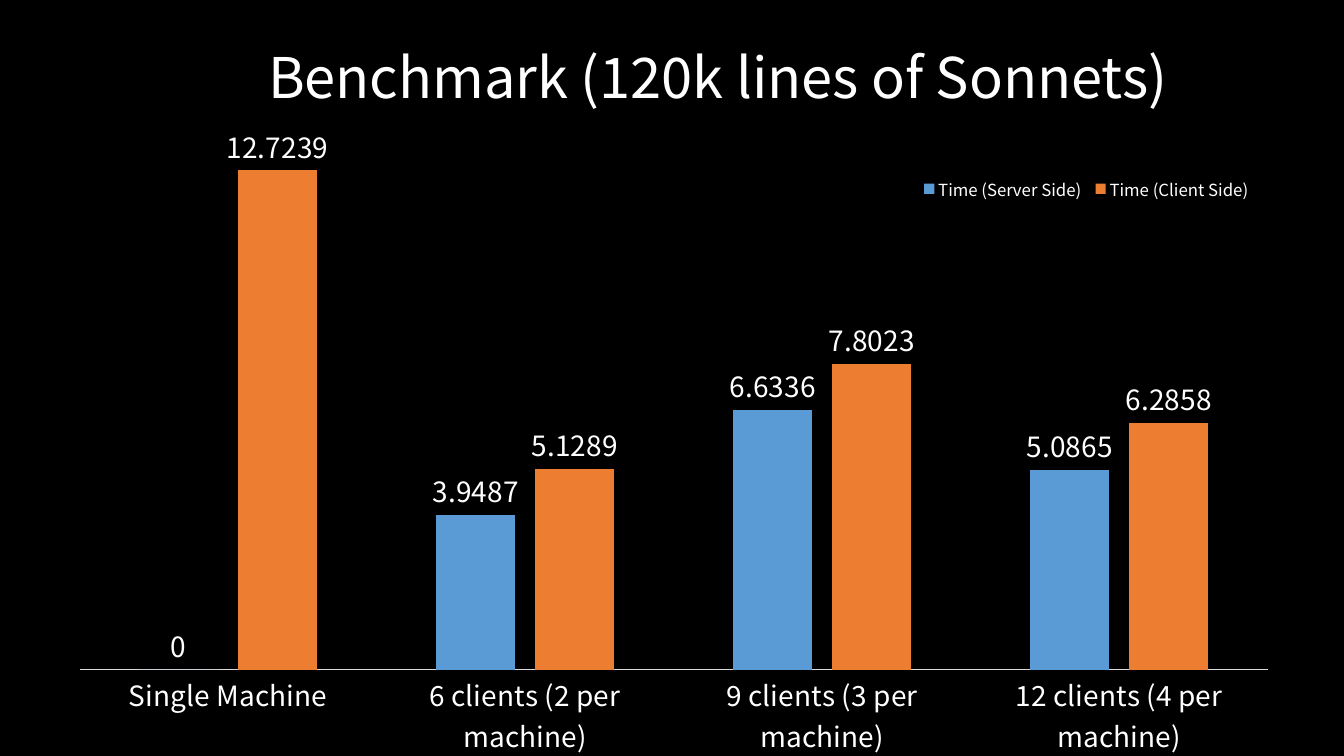
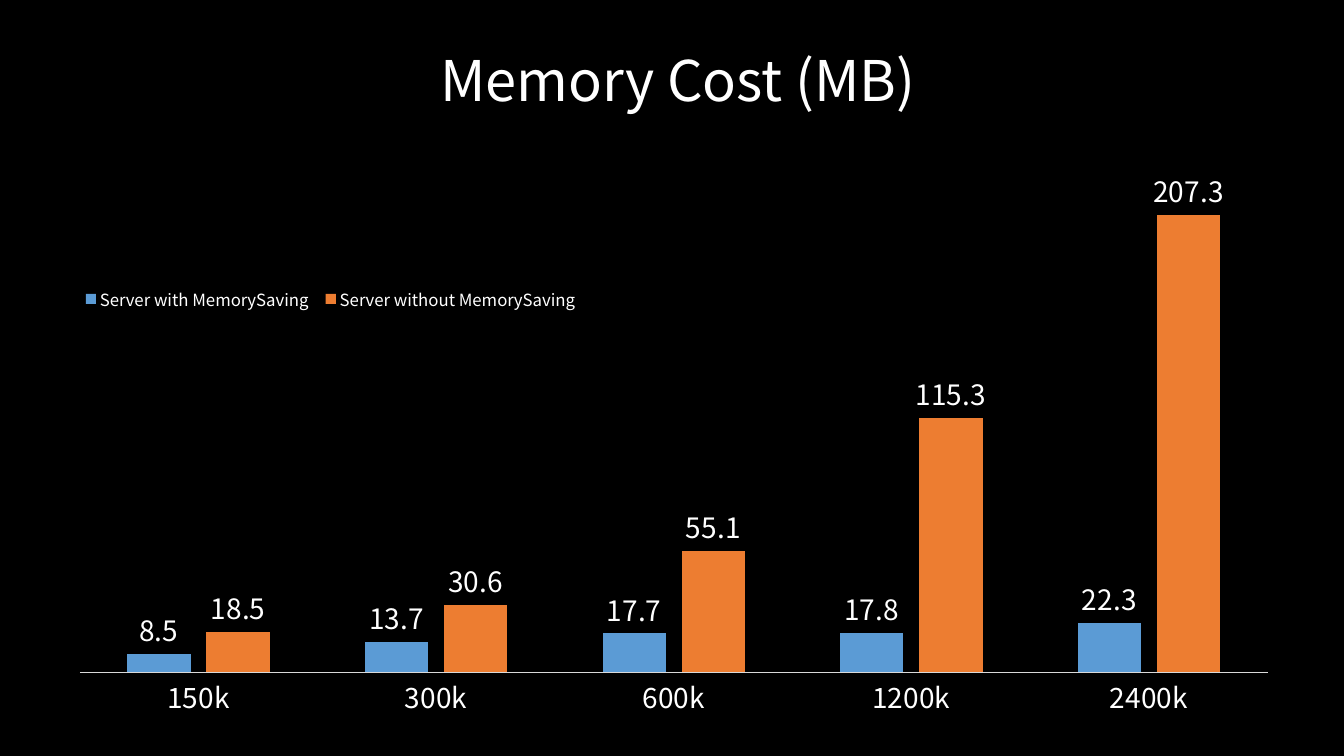
from dataclasses import dataclass

from pptx import Presentation
from pptx.chart.data import CategoryChartData
from pptx.dml.color import RGBColor
from pptx.enum.chart import XL_CHART_TYPE, XL_LABEL_POSITION, XL_LEGEND_POSITION, XL_TICK_MARK
from pptx.enum.text import MSO_ANCHOR, MSO_AUTO_SIZE, PP_ALIGN
from pptx.oxml import parse_xml
from pptx.oxml.ns import nsdecls, qn
from pptx.util import Cm, Pt


@dataclass(frozen=True)
class Theme:
    background: RGBColor = RGBColor(0x00, 0x00, 0x00)
    text: RGBColor = RGBColor(0xFF, 0xFF, 0xFF)
    baseline: RGBColor = RGBColor(0xD9, 0xD9, 0xD9)
    bars: tuple = (RGBColor(0x5B, 0x9B, 0xD5), RGBColor(0xED, 0x7D, 0x31))
    typeface: str = "Noto Sans CJK SC"
    title_size: Pt = Pt(40)
    label_size: Pt = Pt(20)
    legend_size: Pt = Pt(12)
    line_width: Pt = Pt(0.75)


@dataclass(frozen=True)
class Box:
    left: int
    top: int
    width: int
    height: int


@dataclass(frozen=True)
class Comparison:
    title: str
    title_center: tuple
    categories: tuple
    series: dict
    scale_max: float
    legend_area: tuple


THEME = Theme()
CONTENT = Box(Cm(1.58), Cm(0.02), Cm(30.71), Cm(19.02))
TITLE_WIDTH, TITLE_HEIGHT = Cm(25), Cm(2.2)
PLOT_AREA = (0.014, 0.159, 0.975, 0.731)

COMPARISONS = (
    Comparison(
        title="Benchmark (120k lines of Sonnets)",
        title_center=(Cm(16.51), Cm(1.9)),
        categories=("Single Machine", "6 clients (2 per machine)",
                    "9 clients (3 per machine)", "12 clients (4 per machine)"),
        series={"Time (Server Side)": (0, 3.9487, 6.6336, 5.0865),
                "Time (Client Side)": (12.7239, 5.1289, 7.8023, 6.2858)},
        scale_max=14,
        legend_area=(0.7, 0.23, 0.28, 0.04),
    ),
    Comparison(
        title="Memory Cost (MB)",
        title_center=(Cm(15.5), Cm(1.97)),
        categories=("150k", "300k", "600k", "1200k", "2400k"),
        series={"Server with MemorySaving": (8.5, 13.7, 17.7, 17.8, 22.3),
                "Server without MemorySaving": (18.5, 30.6, 55.1, 115.3, 207.3)},
        scale_max=250,
        legend_area=(0.01, 0.37, 0.42, 0.05),
    ),
)


def style_font(font, size):
    font.name = THEME.typeface
    font.size = size
    font.bold = False
    font.color.rgb = THEME.text


def set_layout(region, area, index, inner=False):
    for previous in region.findall(qn("c:layout")):
        region.remove(previous)
    target = '<c:layoutTarget val="inner"/>' if inner else ""
    modes = "".join(f'<c:{side}Mode val="edge"/>' for side in "xy")
    extents = "".join(f'<c:{side} val="{value}"/>' for side, value in zip("xywh", area))
    region.insert(index, parse_xml(
        f'<c:layout {nsdecls("c")}><c:manualLayout>{target}{modes}{extents}'
        "</c:manualLayout></c:layout>"))


def no_fill():
    return parse_xml(f'<c:spPr {nsdecls("c", "a")}><a:noFill/><a:ln><a:noFill/></a:ln></c:spPr>')


def place_title(slide, box, text, center):
    title = slide.shapes.title
    title.left = box.left + center[0] - TITLE_WIDTH // 2
    title.top = box.top + center[1] - TITLE_HEIGHT // 2
    title.width, title.height = TITLE_WIDTH, TITLE_HEIGHT
    frame = title.text_frame
    frame.text = text
    frame.auto_size = MSO_AUTO_SIZE.NONE
    frame.vertical_anchor = MSO_ANCHOR.MIDDLE
    heading = frame.paragraphs[0]
    heading.alignment = PP_ALIGN.CENTER
    style_font(heading.font, THEME.title_size)


def style_axes(chart, scale_max):
    categories = chart.category_axis
    categories.major_tick_mark = categories.minor_tick_mark = XL_TICK_MARK.NONE
    categories.has_major_gridlines = False
    categories.format.line.color.rgb = THEME.baseline
    categories.format.line.width = THEME.line_width
    style_font(categories.tick_labels.font, THEME.label_size)
    values = chart.value_axis
    values.minimum_scale, values.maximum_scale = 0, scale_max
    values.has_major_gridlines = False
    values.visible = False


def style_bars(plot):
    plot.gap_width, plot.overlap = 150, -25
    plot.vary_by_categories = False
    for bars, color in zip(plot.series, THEME.bars):
        bars.invert_if_negative = False
        bars.format.fill.solid()
        bars.format.fill.fore_color.rgb = color
        labels = bars.data_labels
        labels.show_value = True
        labels.position = XL_LABEL_POSITION.OUTSIDE_END
        style_font(labels.font, THEME.label_size)


def place_legend(chart, area):
    chart.has_legend = True
    legend = chart.legend
    legend.position = XL_LEGEND_POSITION.TOP
    legend.include_in_layout = False
    style_font(legend.font, THEME.legend_size)
    set_layout(chart.element.find(".//" + qn("c:legend")), area, 1)


def place_chart(slide, box, comparison):
    figures = CategoryChartData()
    figures.categories = comparison.categories
    for name, values in comparison.series.items():
        figures.add_series(name, values)
    chart = slide.shapes.add_chart(
        XL_CHART_TYPE.COLUMN_CLUSTERED, box.left, box.top, box.width, box.height, figures).chart
    chart.has_title = False
    style_font(chart.font, THEME.legend_size)
    style_axes(chart, comparison.scale_max)
    style_bars(chart.plots[0])
    place_legend(chart, comparison.legend_area)
    plot_area = chart.element.find(".//" + qn("c:plotArea"))
    set_layout(plot_area, PLOT_AREA, 0, inner=True)
    plot_area.append(no_fill())
    chart.element.find(qn("c:chart")).addnext(no_fill())


def add_comparison_slide(prs, box, comparison):
    slide = prs.slides.add_slide(prs.slide_layouts.get_by_name("Title Only"))
    place_title(slide, box, comparison.title, comparison.title_center)
    place_chart(slide, box, comparison)


def main():
    prs = Presentation()
    prs.slide_width, prs.slide_height = Cm(33.87), Cm(19.05)
    backdrop = prs.slide_master.background.fill
    backdrop.solid()
    backdrop.fore_color.rgb = THEME.background
    for comparison in COMPARISONS:
        add_comparison_slide(prs, CONTENT, comparison)
    prs.save("out.pptx")


if __name__ == "__main__":
    main()
